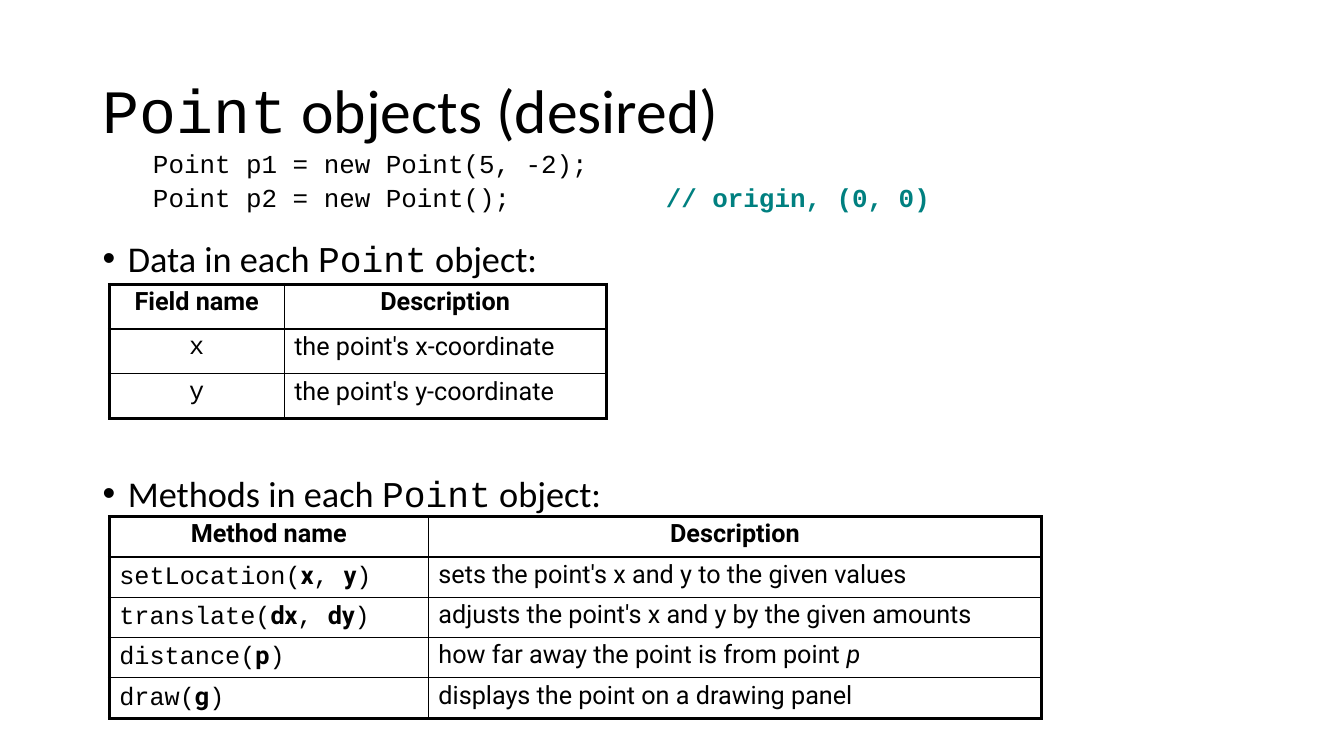
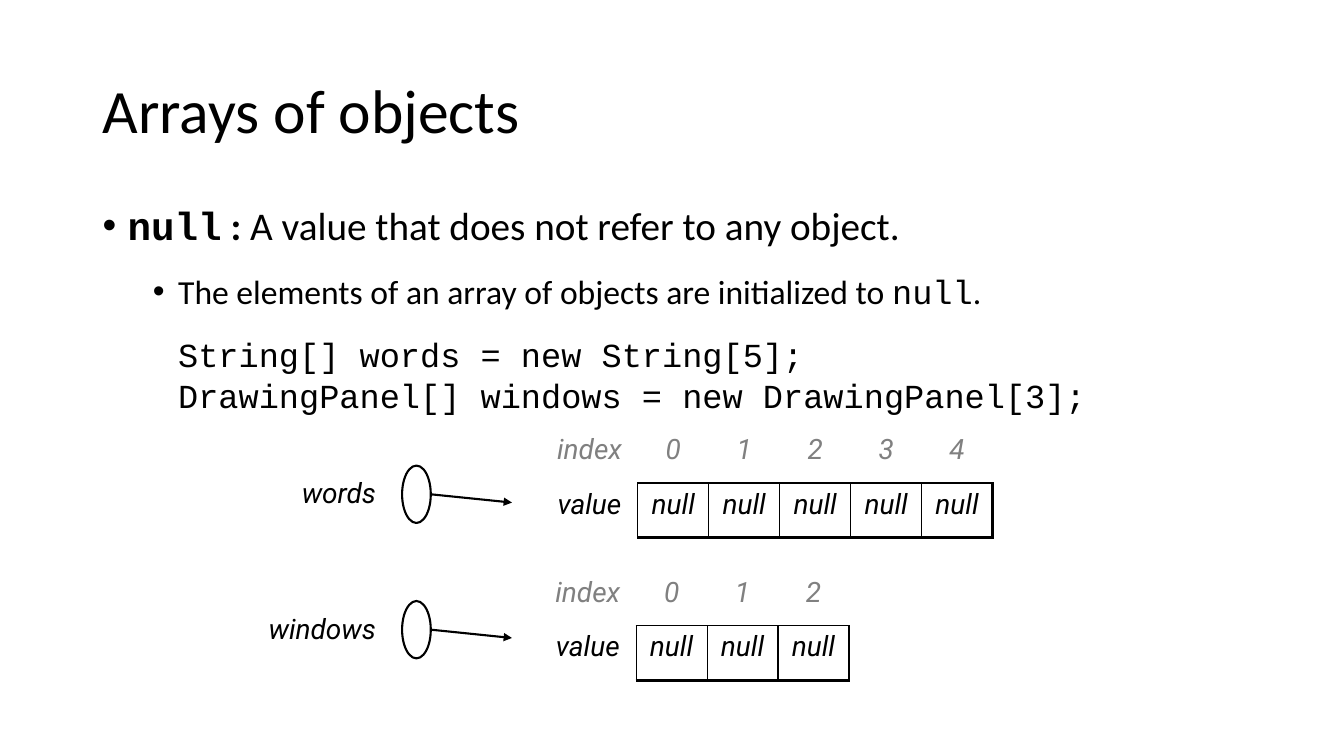
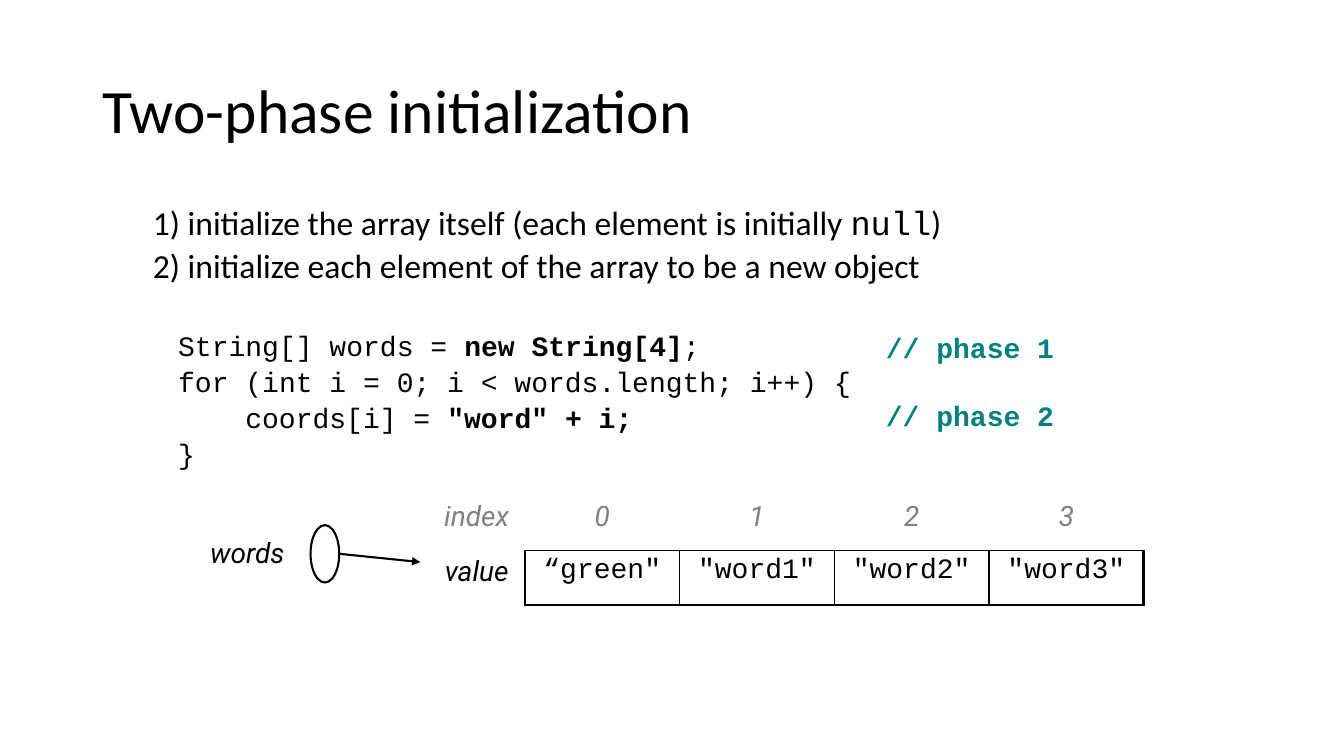
from dataclasses import dataclass
from lxml import etree
from pptx import Presentation
from pptx.dml.color import RGBColor
from pptx.enum import shapes, text
from pptx.oxml.ns import qn
from pptx.util import Pt

HUES = {"ink": "000000", "note": "008080", "pale": "808080", "paper": "FFFFFF"}
SANS, MONO, CELL = "Calibri", "Courier New", "Roboto"
MID, RIGHT = text.PP_ALIGN.CENTER, text.PP_ALIGN.RIGHT
THICK, THIN = 2.25, 1


@dataclass(frozen=True)
class Run:
    text: str
    name: str = SANS
    bold: bool = False
    italic: bool = False
    hue: str = "ink"


@dataclass(frozen=True)
class Para:
    runs: tuple[Run, ...]
    size: float
    left: float = 0
    hang: float = 0
    lines: float = 1
    before: float = 0
    bullet: bool = False
    align: text.PP_ALIGN | None = None


@dataclass(frozen=True)
class Box:
    left: float
    top: float
    width: float
    height: float


@dataclass(frozen=True)
class Grid:
    left: float
    top: float
    widths: tuple[float, ...]
    height: float
    rows: tuple[tuple[Para, ...], ...]
    start: int = 0
    first: float = THICK


@dataclass(frozen=True)
class Ref:
    name: str
    left: float
    top: float
    width: float


HEAD = Box(66.2, 29, 828, 104.4)
BODY = Box(66.2, 144, 828, 343)


def color(hue: str) -> RGBColor:
    return RGBColor.from_string(HUES[hue])


def style(font, key: str, value) -> None:
    if key == "hue":
        font.color.rgb = color(value)
    else:
        setattr(font, key, value)


def fill(frame, paras: tuple[Para, ...]) -> None:
    for i, para in enumerate(paras):
        line = frame.add_paragraph() if i else frame.paragraphs[0]
        line.line_spacing = para.lines
        line.space_before = Pt(para.before)
        if para.align is not None:
            line.alignment = para.align
        props = line._p.get_or_add_pPr()
        props.set("marL", str(Pt(para.left)))
        props.set("indent", str(Pt(-para.hang)))
        if para.bullet:
            etree.SubElement(props, qn("a:buFont")).set("typeface", "Arial")
            etree.SubElement(props, qn("a:buChar")).set("char", "•")
        line.font.size = Pt(para.size)
        parts = []
        for run in para.runs:
            part = line.add_run()
            part.text = run.text
            parts.append(part)
        for key in ("name", "bold", "italic", "hue"):
            values = [getattr(run, key) for run in para.runs]
            if len(set(values)) == 1:
                style(line.font, key, values[0])
            else:
                for part, value in zip(parts, values):
                    style(part.font, key, value)


def write(slide, box: Box, *paras: Para, anchor=text.MSO_ANCHOR.TOP) -> None:
    area = slide.shapes.add_textbox(Pt(box.left), Pt(box.top), Pt(box.width), Pt(box.height))
    frame = area.text_frame
    frame.word_wrap = True
    frame.vertical_anchor = anchor
    fill(frame, paras)


def page(deck, *title: Run):
    slide = deck.slides.add_slide(deck.slide_layouts[6])
    write(slide, HEAD, Para(title, 44, lines=0.9), anchor=text.MSO_ANCHOR.MIDDLE)
    return slide


def edge(at: int, start: int, end: int, first: float) -> float:
    if at < start:
        return 0
    if at == start:
        return first
    return THICK if at == end else THIN


def border(cell, side: str, weight: float) -> None:
    line = etree.SubElement(cell._tc.get_or_add_tcPr(), qn(f"a:ln{side}"))
    if weight:
        line.set("w", str(Pt(weight)))
        paint = etree.SubElement(line, qn("a:solidFill"))
        etree.SubElement(paint, qn("a:srgbClr")).set("val", HUES["ink"])
    else:
        etree.SubElement(line, qn("a:noFill"))


def table(slide, grid: Grid) -> None:
    rows, cols = len(grid.rows), len(grid.widths)
    frame = slide.shapes.add_table(rows, cols, Pt(grid.left), Pt(grid.top),
                                   Pt(sum(grid.widths)), Pt(grid.height * rows))
    made = frame.table
    made.first_row = made.horz_banding = False
    for col, width in zip(made.columns, grid.widths):
        col.width = Pt(width)
    for r, row in enumerate(grid.rows):
        made.rows[r].height = Pt(grid.height)
        for c, para in enumerate(row):
            cell = made.cell(r, c)
            for side, at in (("L", c), ("R", c + 1)):
                border(cell, side, edge(at, grid.start, cols, grid.first) if r >= grid.start else 0)
            for side, at in (("T", r), ("B", r + 1)):
                border(cell, side, edge(at, grid.start, rows, grid.first) if c >= grid.start else 0)
            cell.fill.background()
            fill(cell.text_frame, (para,))


def entry(*runs: Run, align=None) -> Para:
    return Para(runs, 18, lines=0.9, align=align)


def heads(*names: str) -> tuple[Para, ...]:
    return tuple(entry(Run(name, CELL, bold=True), align=MID) for name in names)


def call(name: str, *args: str) -> Para:
    runs = [Run(f"{name}(", MONO)]
    for i, arg in enumerate(args):
        if i:
            runs.append(Run(", ", MONO))
        runs.append(Run(arg, CELL, bold=True))
    return entry(*runs, Run(")", MONO))


def array(slide, left: float, top: float, width: float, values: tuple[Run, ...]) -> None:
    def row(*runs: Run) -> tuple[Para, ...]:
        return tuple(Para((run,), 20, align=MID) for run in runs)

    names = ("index", *map(str, range(len(values))))
    index = row(*(Run(name, CELL, italic=True, hue="pale") for name in names))
    value = row(Run("value", CELL, italic=True), *values)
    widths = (69, *[width] * len(values))
    table(slide, Grid(left, top, widths, 39, (index, value), start=1, first=THIN))


def point(slide, ref: Ref) -> None:
    label = Box(ref.left - 11.5 - ref.width, ref.top + 3.6, ref.width, 35)
    write(slide, label, Para((Run(ref.name, CELL, italic=True),), 20, align=RIGHT))
    arrow = slide.shapes.add_connector(shapes.MSO_CONNECTOR.STRAIGHT,
                                       Pt(ref.left + 18.7), Pt(ref.top + 20.3),
                                       Pt(ref.left + 78.5), Pt(ref.top + 26.4))
    oval = slide.shapes.add_shape(shapes.MSO_SHAPE.OVAL, Pt(ref.left), Pt(ref.top), Pt(20.5), Pt(41))
    oval.shadow.inherit = False
    oval.fill.solid()
    oval.fill.fore_color.rgb = color("paper")
    for item in (arrow, oval):
        item.line.color.rgb = color("ink")
        item.line.width = Pt(1.5)
    props = arrow._element.spPr
    etree.SubElement(props.find(qn("a:ln")), qn("a:tailEnd")).set("type", "triangle")
    etree.SubElement(props, qn("a:effectLst"))


def code(size: float, left: float, *runs: Run, before: float = 5) -> Para:
    return Para(runs, size, left=left, lines=0.86, before=before)


def topic(name: str, before: float) -> Para:
    runs = (Run(f"{name} in each "), Run("Point", MONO), Run(" object:"))
    return Para(runs, 25.9, 18, 18, 0.8, before, True)


def note(slide, left: float, top: float, words: str, size: float) -> None:
    write(slide, Box(left, top, 220, 30), Para((Run(words, MONO, bold=True, hue="note"),), size))


def desired(deck) -> None:
    slide = page(deck, Run("Point", MONO), Run(" objects (desired)"))
    write(slide, Box(66.2, 105.1, 702, 263.5),
          code(18.5, 36, Run("Point p1 = new Point(5, -2);", MONO)),
          code(18.5, 36, Run("Point p2 = new Point();", MONO)),
          topic("Data", 23), topic("Methods", 143))
    note(slide, 468.5, 126.5, "// origin, (0, 0)", 18.5)
    fields = tuple((entry(Run(axis, MONO), align=MID),
                    entry(Run(f"the point's {axis}-coordinate", CELL))) for axis in "xy")
    table(slide, Grid(78, 203, (125, 230), 32, (heads("Field name", "Description"), *fields)))
    methods = (
        (call("setLocation", "x", "y"), entry(Run("sets the point's x and y to the given values", CELL))),
        (call("translate", "dx", "dy"), entry(Run("adjusts the point's x and y by the given amounts", CELL))),
        (call("distance", "p"), entry(Run("how far away the point is from point ", CELL),
                                      Run("p", CELL, italic=True))),
        (call("draw", "g"), entry(Run("displays the point on a drawing panel", CELL))),
    )
    table(slide, Grid(78, 369, (228, 438), 28.8, (heads("Method name", "Description"), *methods)))


def arrays(deck) -> None:
    slide = page(deck, Run("Arrays of objects"))
    write(slide, BODY,
          Para((Run("null", MONO, bold=True), Run(" : ", bold=True),
                Run("A value that does not refer to any object.")), 28, 18, 18, 0.9, 10, True),
          Para((Run("The elements of an array of objects are initialized to "),
                Run("null", MONO), Run(".")), 24, 54, 18, 0.9, 18.8, True),
          code(24, 54, Run("String[] words = new String[5];", MONO), before=20),
          code(24, 54, Run("DrawingPanel[] windows = new DrawingPanel[3];", MONO)))
    empty = Run("null", CELL, italic=True)
    array(slide, 386.6, 306, 50.7, (empty,) * 5)
    array(slide, 385.4, 408, 50.7, (empty,) * 3)
    point(slide, Ref("words", 287.2, 332.6, 90))
    point(slide, Ref("windows", 287.2, 429.3, 108))


def phases(deck) -> None:
    slide = page(deck, Run("Two-phase initialization"))
    write(slide, BODY,
          Para((Run("1) initialize the array itself (each element is initially "),
                Run("null", MONO), Run(")")), 24, 54, 18, 0.9, 5),
          Para((Run("2) initialize each element of the array to be a new object"),), 24, 54, 18, 0.9, 5),
          code(20, 54, Run("String[] words = ", MONO), Run("new String[4]", MONO, bold=True),
               Run(";", MONO), before=34),
          code(20, 54, Run("for (int i = 0; i < words.length; i++) {", MONO)),
          code(20, 102, Run("coords[i] = ", MONO), Run('"word" + i;', MONO, bold=True)),
          code(20, 54, Run("}", MONO)))
    for i in range(2):
        note(slide, 625.7, 232.5 + 48.5 * i, f"// phase {i + 1}", 20)
    words = ("“green\"", '"word1"', '"word2"', '"word3"')
    array(slide, 306, 354.2, 110.5, tuple(Run(word, MONO) for word in words))
    point(slide, Ref("words", 221.8, 375.1, 90))


def main() -> None:
    deck = Presentation()
    deck.slide_width, deck.slide_height = Pt(960), Pt(540)
    for build in (desired, arrays, phases):
        build(deck)
    deck.save("out.pptx")


main()
